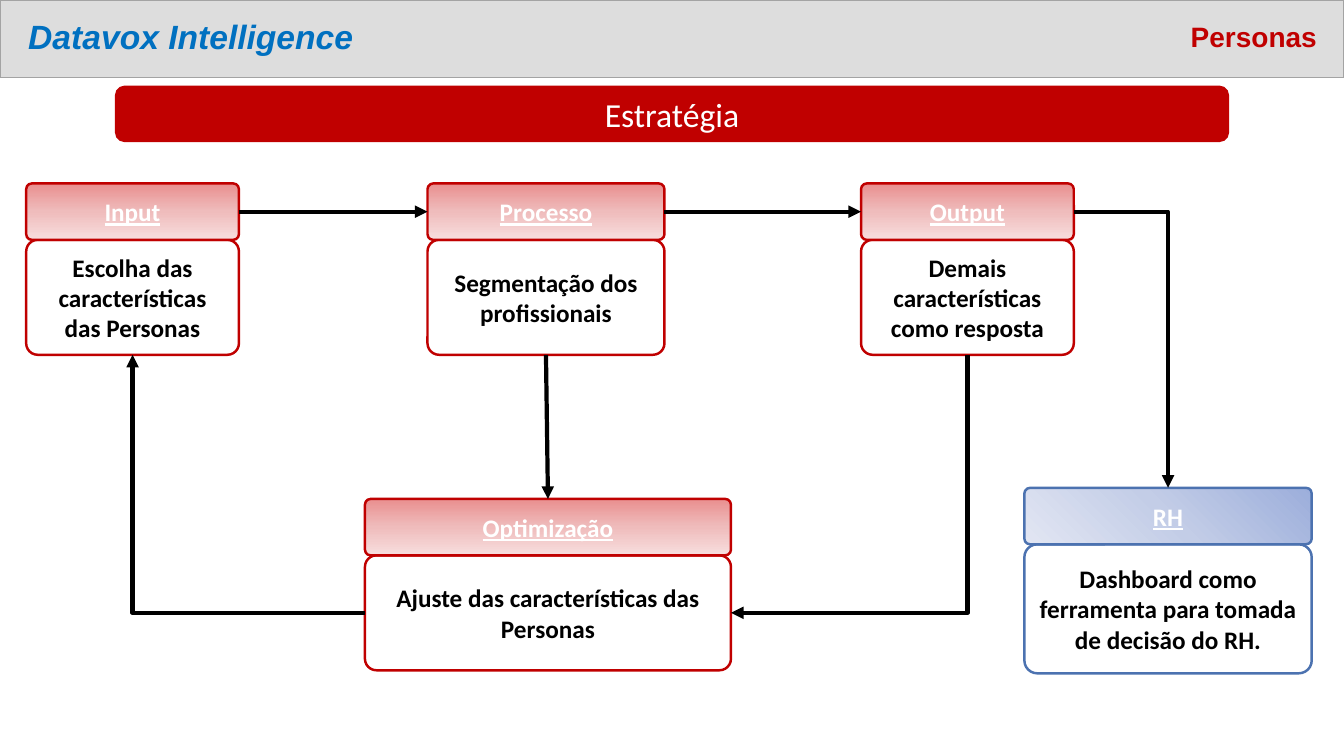
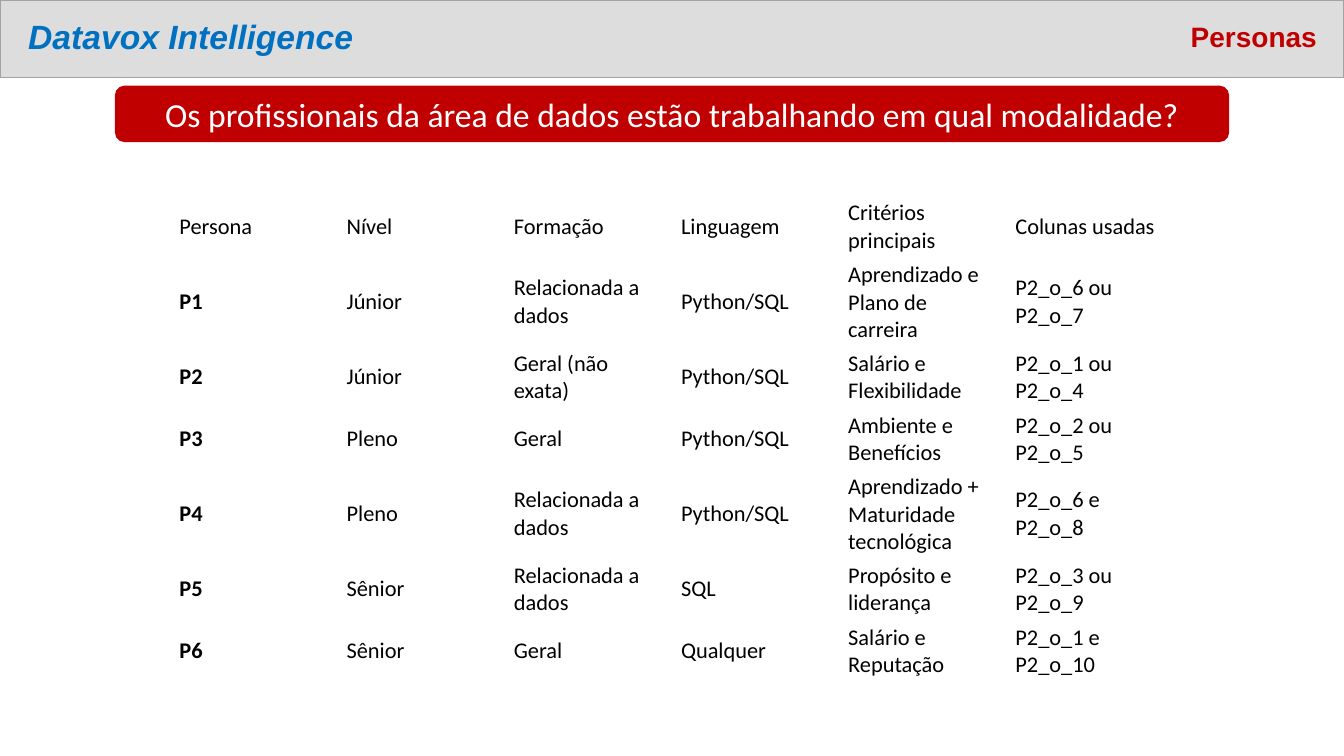
from copy import deepcopy

from lxml import etree
from pptx import Presentation
from pptx.dml.color import RGBColor
from pptx.enum.shapes import MSO_CONNECTOR, MSO_SHAPE
from pptx.enum.text import MSO_ANCHOR, PP_ALIGN
from pptx.oxml.ns import qn
from pptx.util import Inches, Pt

WHITE, BLACK, RED, BLUE = "FFFFFF", "000000", "C00000", "4C72B0"
TITLE_BLUE, BAND_GREY, BAND_EDGE = "0070C0", "DDDDDD", "A3A3A3"
RED_FADE = ("E98F8F", "EFBCBC", "F7DEDE")
BLUE_FADE = ("9CAEDB", "C3CDE7", "E2E6F3")
HEADING, BODY = "Arial", "Calibri"
TOP, LEFT, BOTTOM, RIGHT = range(4)  # connection sites of a rectangle
HEADER_HEIGHT = 0.56

PERSONAS = [
    ("Persona", "Nível", "Formação", "Linguagem", "Critérios principais", "Colunas usadas"),
    ("P1", "Júnior", "Relacionada a dados", "Python/SQL",
     "Aprendizado e Plano de carreira", "P2_o_6 ou P2_o_7"),
    ("P2", "Júnior", "Geral (não exata)", "Python/SQL",
     "Salário e Flexibilidade", "P2_o_1 ou P2_o_4"),
    ("P3", "Pleno", "Geral", "Python/SQL", "Ambiente e Benefícios", "P2_o_2 ou P2_o_5"),
    ("P4", "Pleno", "Relacionada a dados", "Python/SQL",
     "Aprendizado + Maturidade tecnológica", "P2_o_6 e P2_o_8"),
    ("P5", "Sênior", "Relacionada a dados", "SQL",
     "Propósito e liderança", "P2_o_3 ou P2_o_9"),
    ("P6", "Sênior", "Geral", "Qualquer", "Salário e Reputação", "P2_o_1 e P2_o_10"),
]
ROW_HEIGHTS = (0.61, 0.87, 0.61, 0.61, 0.87, 0.61, 0.61)


def rgb(value):
    return RGBColor.from_string(value)


def write(frame, text, size, color, font=BODY, align=PP_ALIGN.CENTER,
          bold=False, italic=False, underline=False, spacing=None):
    frame.text = text
    frame.word_wrap = True
    frame.vertical_anchor = MSO_ANCHOR.MIDDLE
    paragraph = frame.paragraphs[0]
    paragraph.alignment = align
    paragraph.line_spacing = spacing
    style = paragraph.runs[0].font
    style.name, style.size, style.color.rgb = font, Pt(size), rgb(color)
    style.bold, style.italic, style.underline = bold, italic, underline


def panel(slide, kind, box, fill=None, line=None, width=1.0, corner=None):
    shape = slide.shapes.add_shape(kind, *map(Inches, box))
    shape.shadow.inherit = False
    if corner is not None:
        shape.adjustments[0] = corner
    if fill:
        shape.fill.solid()
        shape.fill.fore_color.rgb = rgb(fill)
    if line:
        shape.line.color.rgb = rgb(line)
        shape.line.width = Pt(width)
    else:
        shape.line.fill.background()
    return shape


def fade(shape, colors, angle):
    """Fill with three evenly spaced colours; the angle is counter-clockwise."""
    shape.fill.gradient()
    shape.fill.gradient_angle = angle
    first = shape.fill._fill._gradFill.find(qn("a:gsLst"))[0]
    first.addnext(deepcopy(first))
    for stop, color, position in zip(shape.fill.gradient_stops, colors, (0, 0.5, 1)):
        stop.color.rgb = rgb(color)
        stop.position = position


def themed_slide(prs, banner_text):
    """Add a slide with the top band, both headings and the red banner."""
    slide = prs.slides.add_slide(prs.slide_layouts[5])
    band = panel(slide, MSO_SHAPE.RECTANGLE, (0, 0, 13.33, 0.77), BAND_GREY, BAND_EDGE)

    title = slide.shapes.title
    band.element.addnext(title.element)
    section = slide.shapes.add_textbox(0, 0, 0, 0)
    for heading, left in ((title, 0.18), (section, 9.64)):
        heading.left, heading.top = Inches(left), Inches(0.08)
        heading.width, heading.height = Inches(3.52), Inches(0.61)
    write(title.text_frame, "Datavox Intelligence", 24, TITLE_BLUE, HEADING,
          PP_ALIGN.LEFT, bold=True, italic=True, spacing=0.9)
    write(section.text_frame, "Personas", 20, RED, HEADING,
          PP_ALIGN.RIGHT, bold=True, spacing=0.9)

    banner = panel(slide, MSO_SHAPE.ROUNDED_RECTANGLE, (1.14, 0.85, 11.05, 0.56), RED)
    write(banner.text_frame, banner_text, 24, WHITE)
    return slide


def step_card(slide, box, name, description, edge=RED, colors=RED_FADE, angle=270):
    """Draw a header over a description and return both shapes."""
    left, top, width, height = box
    body = panel(slide, MSO_SHAPE.ROUNDED_RECTANGLE,
                 (left, top + HEADER_HEIGHT, width, height - HEADER_HEIGHT),
                 WHITE, edge, 1.75, 0.1)
    write(body.text_frame, description, 18, BLACK, bold=True)
    header = panel(slide, MSO_SHAPE.ROUNDED_RECTANGLE, (left, top, width, HEADER_HEIGHT),
                   None, edge, 1.75, 0.1)
    fade(header, colors, angle)
    write(header.text_frame, name, 18, WHITE, bold=True, underline=True)
    return header, body


def bend(arrow, turn):
    """Make the arrow a single right-angle bend, turned clockwise by degrees."""
    x1, y1, x2, y2 = arrow.begin_x, arrow.begin_y, arrow.end_x, arrow.end_y
    width, height = abs(x2 - x1), abs(y2 - y1)
    if turn % 180:
        width, height = height, width
    properties = arrow.element.spPr
    properties.find(qn("a:prstGeom")).set("prst", "bentConnector2")
    xfrm = properties.find(qn("a:xfrm"))
    for flip in ("flipH", "flipV"):
        xfrm.attrib.pop(flip, None)
    xfrm.set("rot", str(turn * 60000))
    arrow.left, arrow.top = (x1 + x2 - width) // 2, (y1 + y2 - height) // 2
    arrow.width, arrow.height = width, height


def flow_arrow(slide, source, source_side, target, target_side):
    straight = abs(source_side - target_side) == 2
    kind = MSO_CONNECTOR.STRAIGHT if straight else MSO_CONNECTOR.ELBOW
    arrow = slide.shapes.add_connector(kind, 0, 0, 0, 0)
    arrow.begin_connect(source, source_side)
    arrow.end_connect(target, target_side)
    if not straight:
        bend(arrow, {RIGHT: 0, BOTTOM: 90, LEFT: 180}[source_side])
    arrow.line.color.rgb = rgb(BLACK)
    arrow.line.width = Pt(3)
    etree.SubElement(arrow.line._get_or_add_ln(), qn("a:tailEnd"), type="triangle")
    etree.SubElement(arrow.element.spPr, qn("a:effectLst"))


def strategy_slide(prs):
    slide = themed_slide(prs, "Estratégia")
    top, height = 1.82, 1.7
    input_head, input_body = step_card(
        slide, (0.26, top, 2.11, height), "Input", "Escolha das características das Personas")
    process_head, process_body = step_card(
        slide, (4.24, top, 2.35, height), "Processo", "Segmentação dos profissionais")
    output_head, output_body = step_card(
        slide, (8.54, top, 2.11, height), "Output", "Demais características como resposta")
    tuning_head, tuning_body = step_card(
        slide, (3.62, 4.95, 3.63, height), "Optimização",
        "Ajuste das características das Personas")
    hr_head, _ = step_card(
        slide, (10.16, 4.84, 2.85, 1.84), "RH",
        "Dashboard como ferramenta para tomada de decisão do RH.", BLUE, BLUE_FADE, 225)

    for link in (
        (input_head, RIGHT, process_head, LEFT),
        (process_head, RIGHT, output_head, LEFT),
        (output_body, BOTTOM, tuning_body, RIGHT),
        (process_body, BOTTOM, tuning_head, TOP),
        (tuning_body, LEFT, input_body, BOTTOM),
        (output_head, RIGHT, hr_head, TOP),
    ):
        flow_arrow(slide, *link)


def persona_table(slide, left, top, width):
    table = slide.shapes.add_table(
        len(PERSONAS), len(PERSONAS[0]), Inches(left), Inches(top),
        Inches(width), Inches(sum(ROW_HEIGHTS))).table
    table.first_row = table.horz_banding = False
    for r, (values, height) in enumerate(zip(PERSONAS, ROW_HEIGHTS)):
        table.rows[r].height = Inches(height)
        for c, value in enumerate(values):
            cell = table.cell(r, c)
            cell.fill.background()
            cell.margin_left = cell.margin_right = Inches(0.09)
            cell.margin_top = cell.margin_bottom = Inches(0.04)
            cell.vertical_anchor = MSO_ANCHOR.MIDDLE
            write(cell.text_frame, value, 16, BLACK, align=PP_ALIGN.LEFT,
                  bold=r > 0 and c == 0)


def personas_slide(prs):
    slide = themed_slide(
        prs, "Os profissionais da área de dados estão trabalhando em qual modalidade?")
    persona_table(slide, 1.69, 1.94, 9.95)


def main():
    prs = Presentation()
    prs.slide_width, prs.slide_height = Inches(13.33), Inches(7.5)
    strategy_slide(prs)
    personas_slide(prs)
    prs.save("out.pptx")


if __name__ == "__main__":
    main()
